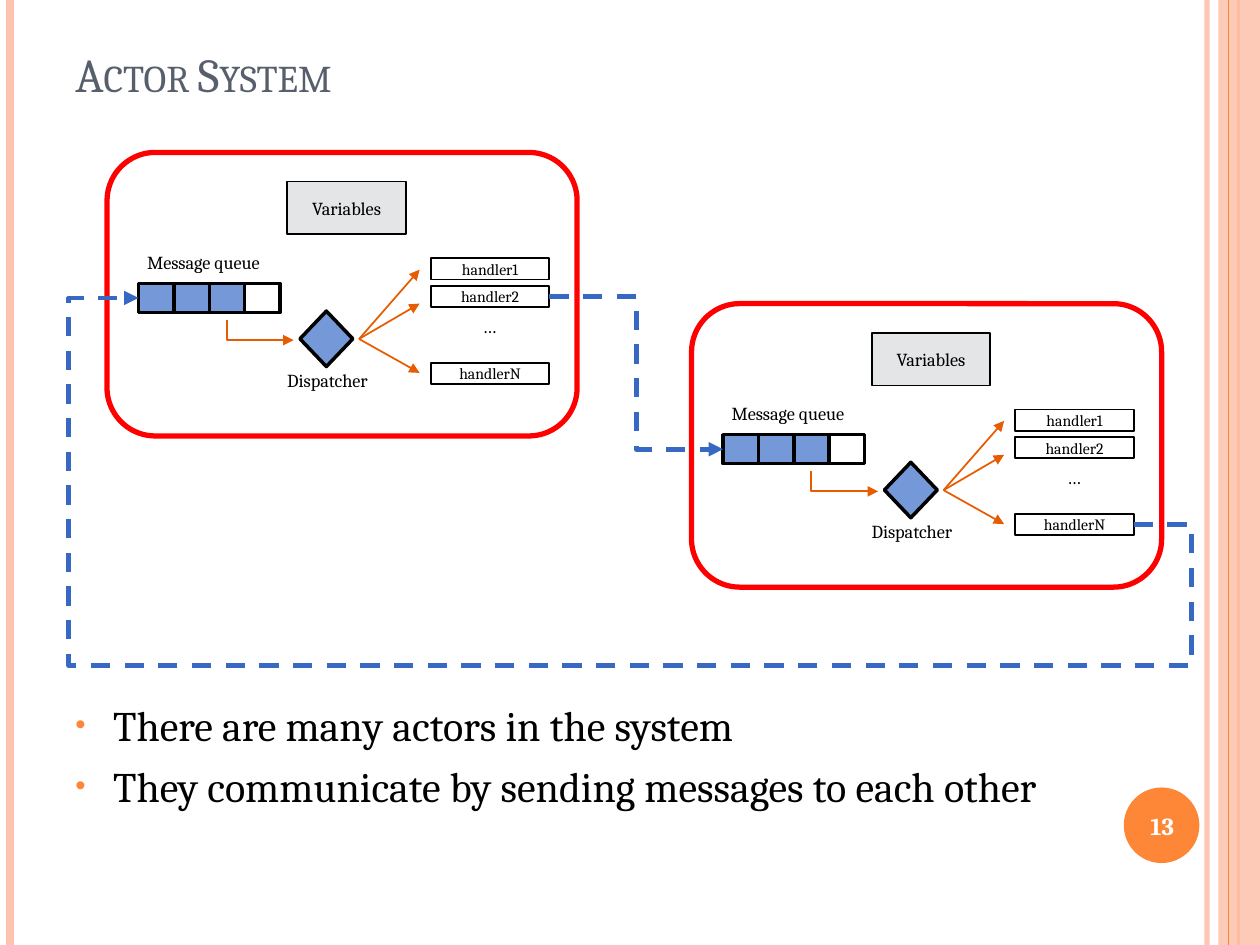
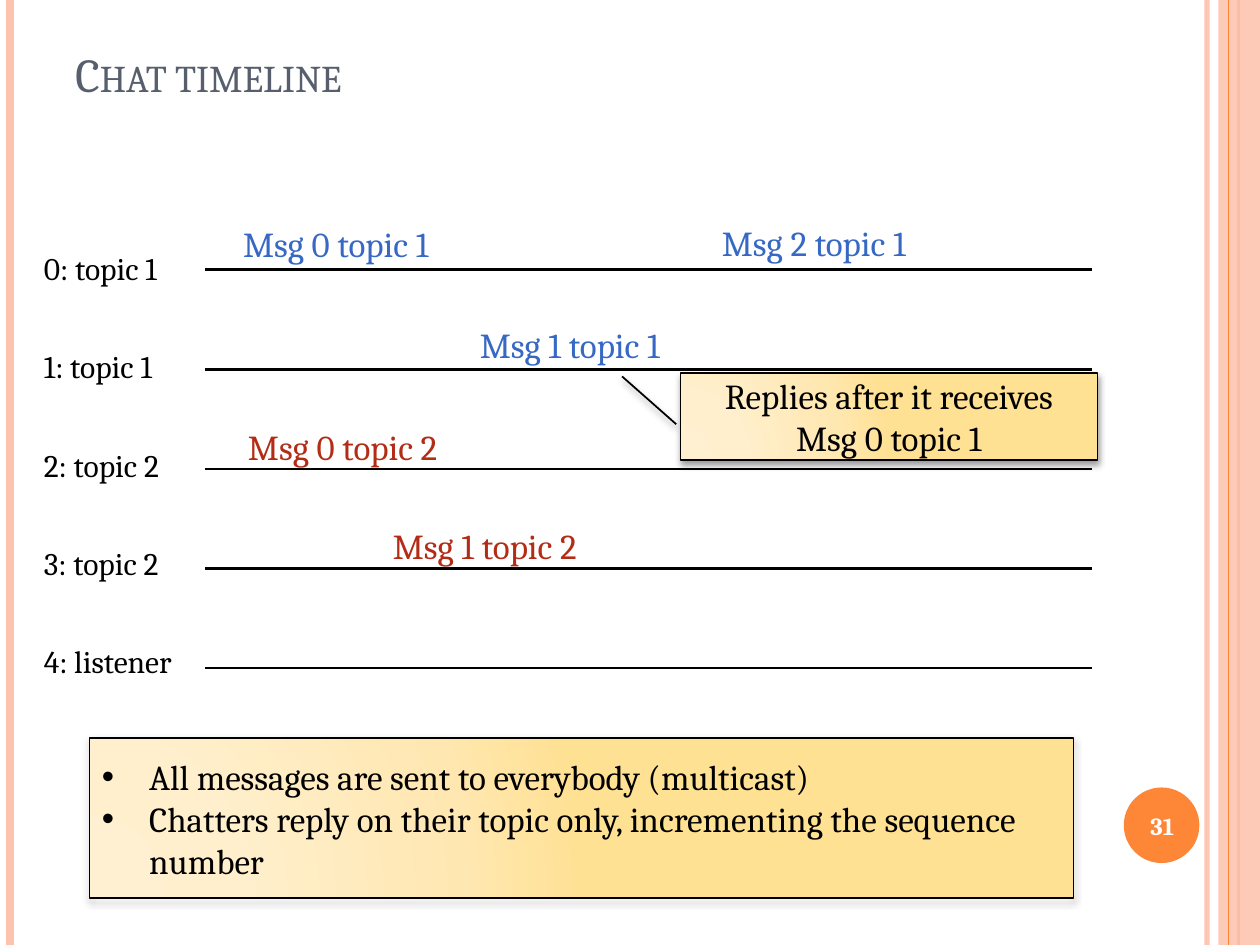
"""Build two slides on actors: the actor system diagram and the chat timeline."""
from pptx import Presentation
from pptx.dml.color import RGBColor
from pptx.enum.dml import MSO_LINE
from pptx.enum.shapes import MSO_CONNECTOR as CONNECTOR, MSO_SHAPE as SHAPE
from pptx.enum.text import MSO_ANCHOR as ANCHOR, MSO_AUTO_SIZE as AUTO_SIZE, PP_ALIGN as ALIGN
from pptx.oxml import parse_xml
from pptx.oxml.ns import nsdecls, qn
from pptx.util import Pt

FONT = "Cambria"
COLORS = {
    "black": "000000", "white": "FFFFFF", "title": "575F6D", "peach": "FEC3AE",
    "orange": "FE8637", "arrow": "E75C01", "queue": "7598D9", "message": "3668C4",
    "second_topic": "B32C16", "variables": "E4E5E6", "actor": "FF0000",
}
NOTE_GRADIENT = [(0, "FFF0D1"), (30, "FFEFCC"), (75, "FFE7B1"), (100, "FFE193")]

BAND = (696.2, 0, 23.8, 540)
BADGE = (642.2, 450, 43.2, 43.2)
EDGE_LINES = [(689.8, "peach", 3, 93), (5.8, "peach", 4.5, 100), (707.8, "orange", 1.5, 100)]
BAND_LINE = (702, "orange", 0.75, 100)

SYSTEM = {
    "title": "Actor System",
    "number": "13",
    "points": ["There are many actors in the system",
               "They communicate by sending messages to each other"],
}
ACTORS = [(61.2, 87.1), (395.2, 173.5)]
ACTOR_SIZE = (268.6, 162)
QUEUE = {"left": 18, "top": 74.9, "width": 20.2, "height": 16.6,
         "cells": ["queue", "queue", "queue", "white"]}
HANDLERS = {"left": 185, "width": 67.7, "height": 12.2,
            "rows": [("handler1", 60.5, 67), ("handler2", 76.3, 86.4), ("handlerN", 120.2, 126)]}
DISPATCH = {"start": (144, 106.6), "end_left": 178.6}
ACTOR_LABELS = [
    ("Message queue", (15.8, 52.6, 88.6, 20.2), False, ALIGN.LEFT),
    ("Dispatcher", (95.8, 120.2, 68.4, 20.2), False, ALIGN.LEFT),
    ("…", (182.9, 89.3, 71.3, 20.2), True, ALIGN.CENTER),
]
LOOP_GUIDES = [("adj1", -5800), ("adj2", -62200), ("adj3", 107000)]

TIMELINE = {
    "title": "Chat timeline",
    "number": "31",
    "rules": ["All messages are sent to everybody (multicast)",
              "Chatters reply on their topic only, incrementing the sequence number"],
    "reply": "Replies after it receives Msg 0 topic 1",
}
CHATTERS = ["0: topic 1", "1: topic 1", "2: topic 2", "3: topic 2", "4: listener"]
LANE = {"left": 117.4, "right": 624.2, "top": 154.2, "gap": 56.9}
CHATTER = {"left": 18, "top": 138.8, "gap": 56.2}
MESSAGES = [
    ("Msg 0 topic 1", 131.8, 123.8, "message"),
    ("Msg 1 topic 1", 267.1, 181.4, "message"),
    ("Msg 0 topic 2", 134.6, 239.8, "second_topic"),
    ("Msg 1 topic 2", 217.4, 295.9, "second_topic"),
    ("Msg 2 topic 1", 405.4, 123.1, "message"),
]


def points(box):
    return [Pt(value) for value in box]


def rgb(name):
    return RGBColor.from_string(COLORS[name])


def set_alpha(fill_parent, percent):
    color = next(fill_parent.iter(qn("a:srgbClr")))
    color.append(parse_xml(f'<a:alpha {nsdecls("a")} val="{percent * 1000}"/>'))


def style_line(shape, color, width, arrow=False, dashed=False):
    shape.line.color.rgb = rgb(color)
    shape.line.width = Pt(width)
    if dashed:
        shape.line.dash_style = MSO_LINE.DASH
    if arrow:
        shape.line._get_or_add_ln().append(
            parse_xml(f'<a:tailEnd {nsdecls("a")} type="triangle"/>'))


def write(shape, text, size=18, color="black", bold=False, small_caps=False, align=ALIGN.LEFT,
          anchor=ANCHOR.TOP, wrap=True, grow=False, bullet=False, indent=0, before=0,
          bullet_color=None, bullet_size=100):
    frame = shape.text_frame
    frame.word_wrap = wrap
    frame.vertical_anchor = anchor
    frame.auto_size = AUTO_SIZE.SHAPE_TO_FIT_TEXT if grow else AUTO_SIZE.NONE
    lines = [text] if isinstance(text, str) else text
    for index, line in enumerate(lines):
        paragraph = frame.add_paragraph() if index else frame.paragraphs[0]
        paragraph.alignment = align
        paragraph.space_before = Pt(before)
        run = paragraph.add_run()
        run.text = line
        font = run.font
        font.name, font.size, font.bold = FONT, Pt(size), bold
        font.color.rgb = rgb(color)
        if small_caps:
            font._element.set("cap", "small")
        if bullet:
            properties = paragraph._p.get_or_add_pPr()
            properties.set("marL", str(Pt(indent)))
            properties.set("indent", str(-Pt(indent)))
            names = nsdecls("a")
            if bullet_color:
                properties.append(parse_xml(
                    f'<a:buClr {names}><a:srgbClr val="{COLORS[bullet_color]}"/></a:buClr>'))
            properties.append(parse_xml(f'<a:buSzPct {names} val="{bullet_size * 1000}"/>'))
            properties.append(parse_xml(f'<a:buFont {names} typeface="Arial"/>'))
            properties.append(parse_xml(f'<a:buChar {names} char="•"/>'))


def add_text(slide, text, box, **text_format):
    write(slide.shapes.add_textbox(*points(box)), text, **text_format)


def add_box(slide, kind, box, fill=None, line=None, width=1):
    shape = slide.shapes.add_shape(kind, *points(box))
    shape.shadow.inherit = False
    if fill:
        shape.fill.solid()
        shape.fill.fore_color.rgb = rgb(fill)
    else:
        shape.fill.background()
    if line:
        style_line(shape, line, width)
    else:
        shape.line.fill.background()
    return shape


def add_line(slide, start, end, color, width, kind=CONNECTOR.STRAIGHT, **line_format):
    connector = slide.shapes.add_connector(kind, *points((*start, *end)))
    style_line(connector, color, width, **line_format)
    connector._element.spPr.append(parse_xml(f'<a:effectLst {nsdecls("a")}/>'))
    return connector


def add_note(slide, kind, box):
    shape = add_box(slide, kind, box, "white", "black")
    stops = "".join(f'<a:gs pos="{position * 1000}"><a:srgbClr val="{color}"/></a:gs>'
                    for position, color in NOTE_GRADIENT)
    gradient = parse_xml(
        f'<a:gradFill {nsdecls("a")} rotWithShape="1"><a:gsLst>{stops}</a:gsLst>'
        '<a:path path="circle"><a:fillToRect l="5000" t="100000" r="120000" b="10000"/>'
        '</a:path></a:gradFill>')
    properties = shape._element.spPr
    properties.replace(properties.find(qn("a:solidFill")), gradient)
    properties.find(qn("a:effectLst")).append(parse_xml(
        f'<a:outerShdw {nsdecls("a")} blurRad="{Pt(4)}" dist="{Pt(2)}" dir="5400000" '
        'rotWithShape="0"><a:srgbClr val="000000"><a:alpha val="40000"/></a:srgbClr>'
        '</a:outerShdw>'))
    return shape


def add_edge_line(slide, left, color, width, opacity):
    connector = add_line(slide, (left, 0), (left, 540), color, width)
    if opacity < 100:
        set_alpha(connector._element.spPr, opacity)


def add_base(presentation, content):
    slide = presentation.slides.add_slide(presentation.slide_layouts[6])
    for edge_line in EDGE_LINES:
        add_edge_line(slide, *edge_line)
    band = add_box(slide, SHAPE.RECTANGLE, BAND, "peach")
    set_alpha(band._element.spPr, 87)
    add_edge_line(slide, *BAND_LINE)
    add_box(slide, SHAPE.OVAL, BADGE, "orange")
    add_text(slide, content["title"], (36, 21.6, 588.2, 40.3), size=27, color="title",
             small_caps=True, anchor=ANCHOR.BOTTOM)
    add_text(slide, content["number"], (640.1, 451.4, 48.2, 41), size=14, color="white",
             bold=True, align=ALIGN.CENTER, anchor=ANCHOR.MIDDLE)
    return slide


def add_actor(slide, origin):
    def place(left, top, *size):
        return (origin[0] + left, origin[1] + top, *size)

    for index, fill in enumerate(QUEUE["cells"]):
        left = QUEUE["left"] + index * QUEUE["width"]
        add_box(slide, SHAPE.RECTANGLE,
                place(left, QUEUE["top"], QUEUE["width"], QUEUE["height"]), fill, "black", 2)
    for text, box, wrap, align in ACTOR_LABELS:
        add_text(slide, text, place(*box), size=10.5, wrap=wrap, grow=True, align=align)

    start, *corners = [points(place(*corner))
                       for corner in [(68.4, 95.8), (68.4, 107.3), (106.6, 107.3)]]
    builder = slide.shapes.build_freeform(*start)
    builder.add_line_segments(corners, close=False)
    elbow = builder.convert_to_shape()
    elbow.shadow.inherit = False
    elbow.fill.background()
    style_line(elbow, "arrow", 1, arrow=True)

    add_box(slide, SHAPE.DIAMOND, place(110.2, 90.7, 30.2, 31.7), "queue", "black", 2)
    for name, top, arrow_top in HANDLERS["rows"]:
        handler = add_box(slide, SHAPE.RECTANGLE,
                          place(HANDLERS["left"], top, HANDLERS["width"], HANDLERS["height"]),
                          line="black")
        write(handler, name, size=9, align=ALIGN.CENTER, anchor=ANCHOR.MIDDLE)
        add_line(slide, place(*DISPATCH["start"]), place(DISPATCH["end_left"], arrow_top),
                 "arrow", 1, arrow=True)
    variables = add_box(slide, SHAPE.RECTANGLE, place(103, 16.6, 67.7, 30.2),
                        "variables", "black")
    write(variables, "Variables", size=10.5, align=ALIGN.CENTER, anchor=ANCHOR.MIDDLE)
    frame = add_box(slide, SHAPE.ROUNDED_RECTANGLE, place(0, 0, *ACTOR_SIZE), None, "actor", 3)
    frame.adjustments[0] = 0.17


def add_message_link(slide, sender, row, receiver):
    handler_top = HANDLERS["rows"][row][1]
    start = (sender[0] + HANDLERS["left"] + HANDLERS["width"],
             sender[1] + handler_top + HANDLERS["height"] / 2)
    end = (receiver[0] + QUEUE["left"], receiver[1] + QUEUE["top"] + QUEUE["height"] / 2)
    return add_line(slide, start, end, "message", 2.75, CONNECTOR.ELBOW, arrow=True, dashed=True)


def build_system(presentation):
    slide = add_base(presentation, SYSTEM)
    for origin in ACTORS:
        add_actor(slide, origin)
    first, second = ACTORS
    add_message_link(slide, first, 1, second)
    loop = add_message_link(slide, second, 2, first)
    geometry = loop._element.spPr.prstGeom
    geometry.set("prst", "bentConnector5")
    geometry.rewrite_guides(LOOP_GUIDES)
    add_text(slide, SYSTEM["points"], (36, 396, 588.2, 126), size=24, bullet=True, indent=21.6,
             before=6, bullet_color="orange", bullet_size=70)


def build_timeline(presentation):
    slide = add_base(presentation, TIMELINE)
    for index, chatter in enumerate(CHATTERS):
        lane_top = LANE["top"] + index * LANE["gap"]
        add_line(slide, (LANE["left"], lane_top), (LANE["right"], lane_top), "black", 1.5)
        label_top = CHATTER["top"] + index * CHATTER["gap"]
        width = 98.6 if chatter.endswith("listener") else 90
        add_text(slide, chatter, (CHATTER["left"], label_top, width, 28.8), wrap=False, grow=True)
    for text, left, top, color in MESSAGES:
        add_text(slide, text, (left, top, 137.5, 31.7), size=20, color=color,
                 wrap=False, grow=True)
    rules = add_note(slide, SHAPE.RECTANGLE, (51.1, 421.9, 562.3, 91.4))
    write(rules, TIMELINE["rules"], size=20, anchor=ANCHOR.MIDDLE, bullet=True, indent=27)
    reply = add_note(slide, SHAPE.LINE_CALLOUT_1, (388.8, 213.1, 238.3, 49.7))
    for index, value in enumerate([0.59, -0.01, 0.04, -0.14]):
        reply.adjustments[index] = value
    write(reply, TIMELINE["reply"], size=20, align=ALIGN.CENTER, anchor=ANCHOR.MIDDLE)


def main():
    presentation = Presentation()
    presentation.slide_width, presentation.slide_height = Pt(720), Pt(540)
    build_system(presentation)
    build_timeline(presentation)
    presentation.save("out.pptx")


if __name__ == "__main__":
    main()
